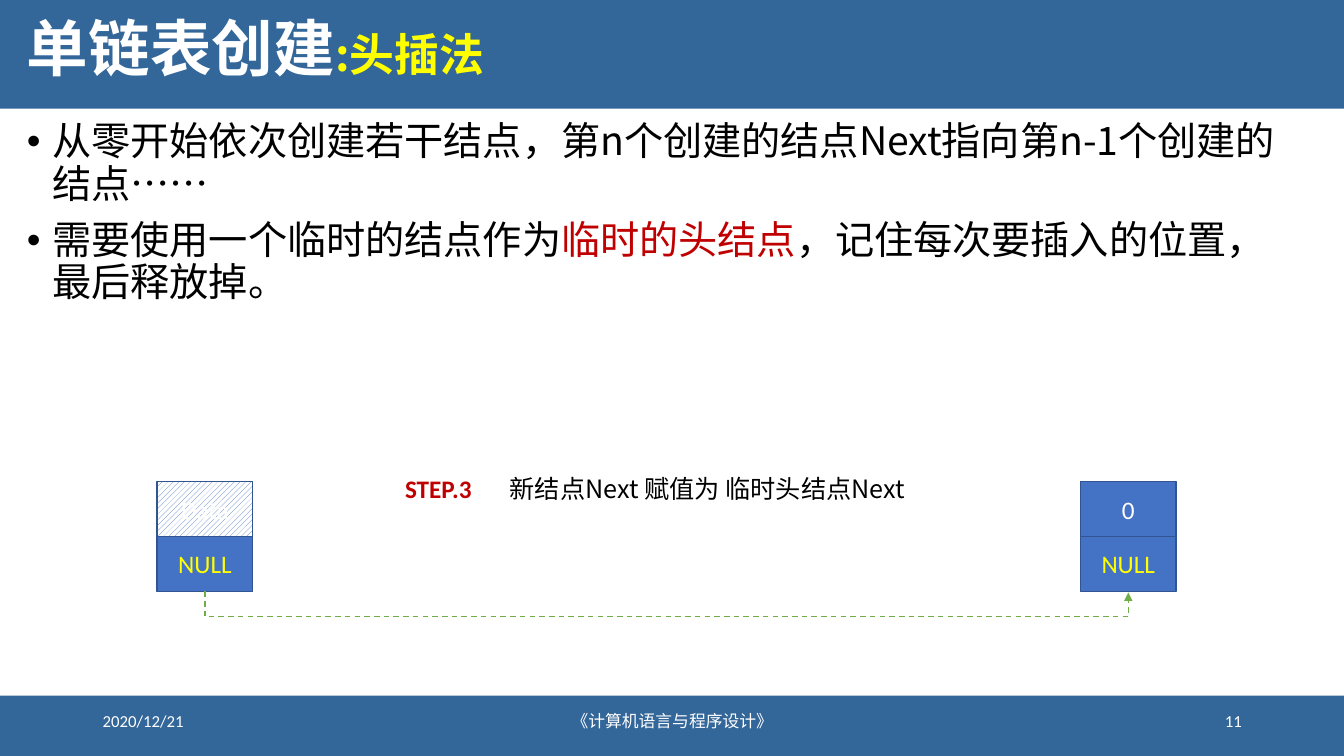
from dataclasses import dataclass

import pptx
import pptx.dml.color
import pptx.enum.dml
import pptx.enum.shapes
import pptx.enum.text
import pptx.oxml
import pptx.oxml.ns
import pptx.shapes.autoshape
import pptx.shapes.connector
import pptx.slide
import pptx.text.text
import pptx.util

Cm = pptx.util.Cm
Align = pptx.enum.text.PP_ALIGN
Anchor = pptx.enum.text.MSO_ANCHOR


@dataclass(frozen=True)
class Theme:
    bar: str = "336699"
    node: str = "4472C4"
    node_line: str = "325491"
    link: str = "70AD47"
    white: str = "FFFFFF"
    black: str = "000000"
    yellow: str = "FFFF00"
    red: str = "C00000"
    latin: str = "Calibri"
    chinese: str = "Noto Sans CJK SC"
    title: int = 44
    subtitle: int = 32
    body: int = 28
    label: int = 18
    footer: int = 12


THEME = Theme()


@dataclass(frozen=True)
class Box:
    left: float
    top: float
    width: float
    height: float

    def lengths(self) -> tuple:
        return Cm(self.left), Cm(self.top), Cm(self.width), Cm(self.height)


@dataclass(frozen=True)
class Piece:
    text: str
    size: int
    color: str
    font: str = THEME.chinese
    bold: bool = False


@dataclass(frozen=True)
class Label:
    box: Box
    paragraphs: list[list[Piece]]
    align: Align = Align.LEFT
    anchor: Anchor = Anchor.MIDDLE
    wrap: bool = True
    line_spacing: float = 1.0
    bullet: bool = False


@dataclass(frozen=True)
class Node:
    left: float
    data: str
    hatched: bool


NODE_TOP, NODE_WIDTH, CELL_HEIGHT = 12.14, 2.41, 1.38
LINK_RISE, LINK_DROP = 0.03, 0.64
FOOTER_TOP, FOOTER_HEIGHT = 17.65, 1.02
STEP_TOP, STEP_HEIGHT = 11.79, 1.02

BARS = [Box(0, 0, 33.87, 2.74), Box(0, 17.53, 33.87, 1.52)]
NODES = [Node(3.96, "Data", True), Node(27.23, "0", False)]


def footer(left: float, width: float, text: str, align: Align) -> Label:
    piece = Piece(text, THEME.footer, THEME.white, THEME.latin)
    return Label(Box(left, FOOTER_TOP, width, FOOTER_HEIGHT), [[piece]], align)


LABELS = [
    Label(Box(0.43, 2.95, 32.69, 5.03), [
        [Piece("从零开始依次创建若干结点，第n个创建的结点Next指向第n-1个创建的结点……",
               THEME.body, THEME.black)],
        [Piece("需要使用一个临时的结点作为", THEME.body, THEME.black),
         Piece("临时的头结点", THEME.body, THEME.red),
         Piece("，记住每次要插入的位置，最后释放掉。", THEME.body, THEME.black)],
    ], anchor=Anchor.TOP, line_spacing=0.9, bullet=True),
    footer(2.34, 7.62, "2020/12/21", Align.LEFT),
    footer(11.23, 11.43, "《计算机语言与程序设计》", Align.CENTER),
    footer(23.93, 7.62, "11", Align.RIGHT),
    Label(Box(0.43, 0, 32.69, 2.62), [
        [Piece("单链表创建", THEME.title, THEME.white, bold=True),
         Piece(":头插法", THEME.subtitle, THEME.yellow, bold=True)],
    ], line_spacing=0.9),
    Label(Box(9.96, STEP_TOP, 2.21, STEP_HEIGHT),
          [[Piece("STEP.3", THEME.label, THEME.red, THEME.latin, True)]],
          anchor=Anchor.TOP, wrap=False),
    Label(Box(12.4, STEP_TOP, 10.85, STEP_HEIGHT),
          [[Piece("新结点Next 赋值为 临时头结点Next", THEME.label, THEME.black)]],
          Align.CENTER, Anchor.TOP),
]


def rgb(color: str) -> pptx.dml.color.RGBColor:
    return pptx.dml.color.RGBColor.from_string(color)


def add_element(parent, tag: str, **attributes: str):
    element = pptx.oxml.ns.qn(tag)
    child = parent.makeelement(element, attributes)
    parent.append(child)
    return child


def write_piece(paragraph: pptx.text.text._Paragraph, piece: Piece) -> None:
    run = paragraph.add_run()
    run.text = piece.text
    run.font.size = pptx.util.Pt(piece.size)
    run.font.bold = piece.bold
    run.font.color.rgb = rgb(piece.color)
    run.font.name = piece.font
    add_element(run.font._element, "a:ea", typeface=THEME.chinese)


def add_label(slide: pptx.slide.Slide, label: Label) -> None:
    text_frame = slide.shapes.add_textbox(*label.box.lengths()).text_frame
    text_frame.word_wrap = label.wrap
    text_frame.vertical_anchor = label.anchor
    for index, pieces in enumerate(label.paragraphs):
        paragraph = text_frame.add_paragraph() if index else text_frame.paragraphs[0]
        paragraph.alignment = label.align
        paragraph.line_spacing = label.line_spacing
        if index:
            paragraph.space_before = pptx.util.Pt(10)
        if label.bullet:
            properties = paragraph._p.get_or_add_pPr()
            properties.set("marL", str(Cm(0.64)))
            properties.set("indent", str(-Cm(0.64)))
            add_element(properties, "a:buFont", typeface="Arial")
            add_element(properties, "a:buChar", char="•")
        for piece in pieces:
            write_piece(paragraph, piece)


def add_rectangle(shapes, box: Box, color: str) -> pptx.shapes.autoshape.Shape:
    shape = shapes.add_shape(pptx.enum.shapes.MSO_SHAPE.RECTANGLE, *box.lengths())
    shape.shadow.inherit = False
    shape.fill.solid()
    shape.fill.fore_color.rgb = rgb(color)
    shape.line.fill.background()
    return shape


def add_node(slide: pptx.slide.Slide, node: Node) -> None:
    group = slide.shapes.add_group_shape()
    cells = [(node.data, THEME.white), ("NULL", THEME.yellow)]
    for row, (text, color) in enumerate(cells):
        box = Box(node.left, NODE_TOP + row * CELL_HEIGHT, NODE_WIDTH, CELL_HEIGHT)
        shape = add_rectangle(group.shapes, box, THEME.node)
        if node.hatched and row == 0:
            shape.fill.patterned()
            shape.fill.pattern = pptx.enum.dml.MSO_PATTERN.WIDE_UPWARD_DIAGONAL
            shape.fill.fore_color.rgb = rgb(THEME.node)
            shape.fill.back_color.rgb = rgb(THEME.white)
        shape.line.color.rgb = rgb(THEME.node_line)
        shape.line.width = pptx.util.Pt(1)
        shape.text_frame.vertical_anchor = Anchor.MIDDLE
        paragraph = shape.text_frame.paragraphs[0]
        paragraph.alignment = Align.CENTER
        write_piece(paragraph, Piece(text, THEME.label, color, THEME.latin))


def add_link(slide: pptx.slide.Slide, source: Node, target: Node) -> None:
    span = target.left - source.left
    middle = (source.left + target.left + NODE_WIDTH) / 2
    bottom = NODE_TOP + 2 * CELL_HEIGHT
    left, top = middle - LINK_RISE / 2, bottom + LINK_RISE / 2 - span / 2
    connector = slide.shapes.add_connector(
        pptx.enum.shapes.MSO_CONNECTOR.ELBOW,
        Cm(left + LINK_RISE), Cm(top), Cm(left), Cm(top + span))
    connector.rotation = 270
    properties = connector._element.spPr
    properties.find(pptx.oxml.ns.qn("a:xfrm")).set("rot", str(270 * 60000))
    guides = properties.find(pptx.oxml.ns.qn("a:prstGeom")).get_or_add_avLst()
    drop = round(LINK_DROP / LINK_RISE * 100000)
    add_element(guides, "a:gd", name="adj1", fmla=f"val {drop}")
    connector.line.color.rgb = rgb(THEME.link)
    connector.line.width = pptx.util.Pt(1)
    connector.line.dash_style = pptx.enum.dml.MSO_LINE.DASH
    add_element(connector.line._get_or_add_ln(), "a:tailEnd", type="triangle")
    add_element(properties, "a:effectLst")


def main() -> None:
    presentation = pptx.Presentation()
    presentation.slide_width, presentation.slide_height = Cm(33.87), Cm(19.05)
    slide = presentation.slides.add_slide(presentation.slide_layouts[6])
    for bar in BARS:
        add_rectangle(slide.shapes, bar, THEME.bar)
    for label in LABELS:
        add_label(slide, label)
    for node in NODES:
        add_node(slide, node)
    add_link(slide, *NODES)
    presentation.save("out.pptx")


if __name__ == "__main__":
    main()
